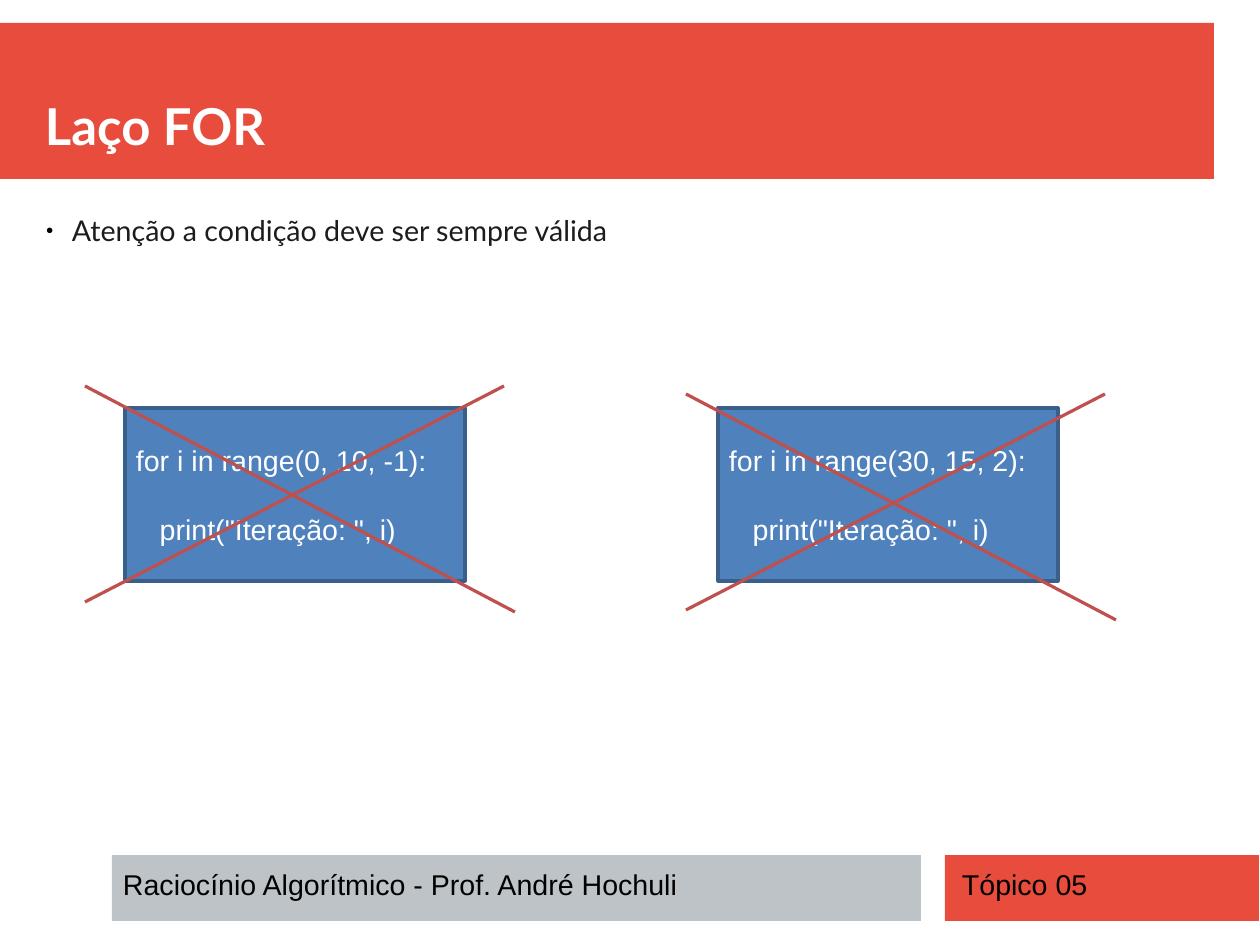
from lxml.etree import SubElement
from pptx import Presentation
from pptx.dml.color import RGBColor
from pptx.enum.shapes import MSO_CONNECTOR, MSO_SHAPE
from pptx.enum.text import MSO_ANCHOR, MSO_AUTO_SIZE, PP_ALIGN
from pptx.oxml.ns import qn
from pptx.util import Emu, Pt

COLORS = {
    "red": "E74C3C", "gray": "BDC3C7", "white": "FFFFFF", "black": "000000",
    "ink": "1C1C1C", "blue": "4F81BD", "navy": "3A5F8B", "cross": "C0504D",
}
EMU_PER_PX = 8000


def px(*lengths):
    return [Emu(length * EMU_PER_PX) for length in lengths]


def color(name):
    return RGBColor.from_string(COLORS[name])


class SlideBuilder:
    def __init__(self, presentation):
        self.slide = presentation.slides.add_slide(presentation.slide_layouts[1])
        self.shapes = self.slide.shapes

    def style(self, paragraph, ink, font="Arial", size=18, bold=False, align=PP_ALIGN.LEFT):
        paragraph.alignment = align
        paragraph.font.name = font
        paragraph.font.size = Pt(size)
        paragraph.font.bold = bold
        paragraph.font.color.rgb = color(ink)

    def frame(self, shape, margins, anchor):
        text_frame = shape.text_frame
        text_frame.word_wrap = True
        text_frame.auto_size = MSO_AUTO_SIZE.NONE
        text_frame.vertical_anchor = anchor
        side, top = px(*margins)
        text_frame.margin_left = text_frame.margin_right = side
        text_frame.margin_top = text_frame.margin_bottom = top
        return text_frame

    def box(self, bounds, fill, line=None):
        shape = self.shapes.add_shape(MSO_SHAPE.RECTANGLE, *px(*bounds))
        shape.shadow.inherit = False
        shape.fill.solid()
        shape.fill.fore_color.rgb = color(fill)
        if line:
            shape.line.color.rgb = color(line)
            shape.line.width = Pt(2)
        else:
            shape.line.fill.background()
        return shape

    def placeholder(self, shape, bounds, text, anchor):
        self.shapes._spTree.append(shape._element)
        shape.left, shape.top, shape.width, shape.height = px(*bounds)
        text_frame = self.frame(shape, (0, 0), anchor)
        text_frame.text = text
        return text_frame.paragraphs[0]

    def title(self, bounds, text):
        paragraph = self.placeholder(self.shapes.title, bounds, text, MSO_ANCHOR.BOTTOM)
        self.style(paragraph, "white", "Lato", 32, True)

    def bullet(self, bounds, text):
        body = self.slide.placeholders[1]
        paragraph = self.placeholder(body, bounds, text, MSO_ANCHOR.TOP)
        properties = paragraph._p.get_or_add_pPr()
        margin, indent = px(27, -26)
        properties.set("marL", str(margin))
        properties.set("indent", str(indent))
        bullet_color = SubElement(properties, qn("a:buClr"))
        SubElement(bullet_color, qn("a:srgbClr"), val=COLORS["black"])
        SubElement(properties, qn("a:buSzPct"), val="45000")
        SubElement(properties, qn("a:buChar"), char="●")
        paragraph.space_before = Pt(0)
        paragraph.space_after = Pt(11.4)
        self.style(paragraph, "ink", "Lato")

    def label(self, bounds, text):
        shape = self.shapes.add_textbox(*px(*bounds))
        text_frame = self.frame(shape, (11, 6), MSO_ANCHOR.TOP)
        text_frame.text = text
        self.style(text_frame.paragraphs[0], "black")

    def code(self, bounds, lines):
        shape = self.box(bounds, "blue", "navy")
        text_frame = self.frame(shape, (11, 6), MSO_ANCHOR.MIDDLE)
        text_frame.text = "\n".join(lines)
        for index, paragraph in enumerate(text_frame.paragraphs):
            if index:
                paragraph.space_before = Pt(22)
            self.style(paragraph, "white", align=PP_ALIGN.JUSTIFY)

    def line(self, *ends):
        connector = self.shapes.add_connector(MSO_CONNECTOR.STRAIGHT, *px(*ends))
        connector.line.color.rgb = color("cross")
        connector.line.width = Pt(2)
        SubElement(connector._element.spPr, qn("a:effectLst"))

    def cross(self, left, top):
        self.line(left, top, left + 430, top + 226)
        self.line(left, top + 216, left + 419, top)


def main():
    presentation = Presentation()
    presentation.slide_width, presentation.slide_height = px(1260, 945)
    builder = SlideBuilder(presentation)

    builder.box((0, 23, 1214, 156), "red")
    builder.box((945, 855, 314, 66), "red")
    builder.box((112, 855, 809, 66), "gray")
    builder.title((45, 45, 1169, 111), "Laço FOR")
    builder.label((112, 861, 805, 45), "Raciocínio Algorítmico - Prof. André Hochuli")
    builder.label((951, 861, 285, 45), "Tópico 05")
    builder.bullet((45, 213, 1146, 584), "Atenção a condição deve ser sempre válida")

    loops = [(125, "0, 10, -1", 85, 386), (718, "30, 15, 2", 686, 394)]
    for left, arguments, _, _ in loops:
        lines = [f"for i in range({arguments}):", '   print("Iteração: ", i)']
        builder.code((left, 408, 340, 173), lines)
    for _, _, left, top in loops:
        builder.cross(left, top)

    presentation.save("out.pptx")


if __name__ == "__main__":
    main()
